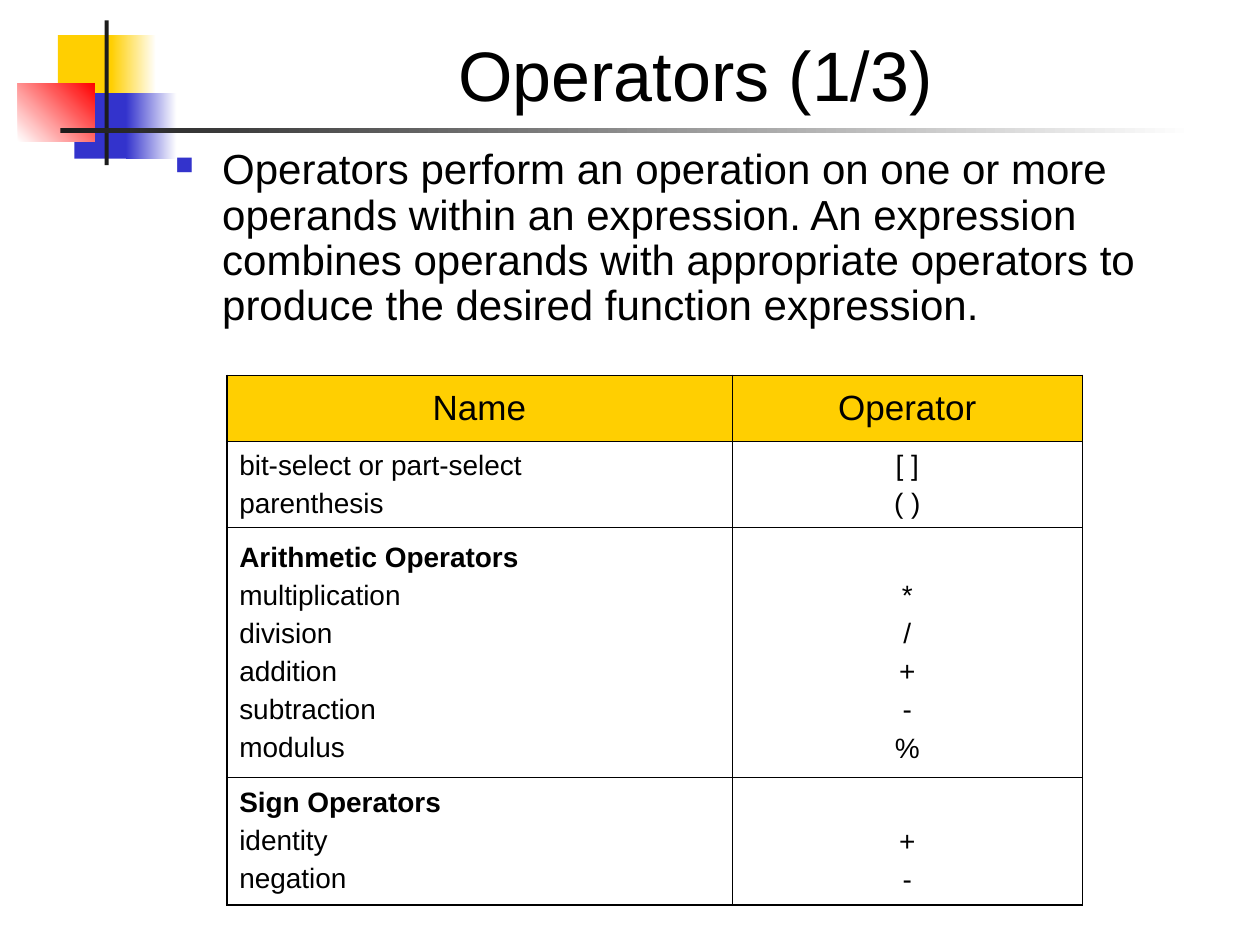
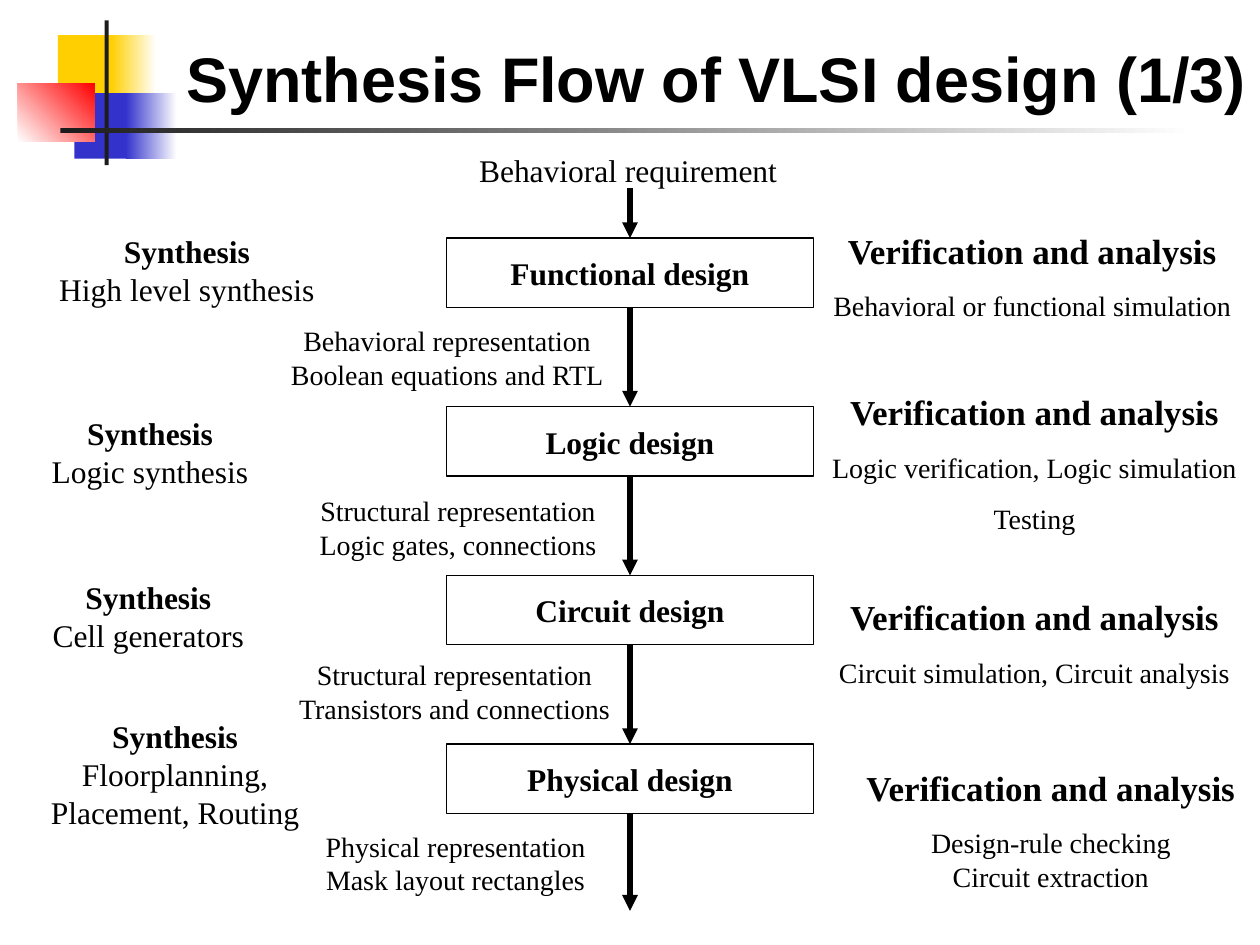
"""Build two slides on operators and the VLSI synthesis flow."""
from lxml.etree import SubElement
from pptx import Presentation
from pptx.dml.color import RGBColor
from pptx.enum.shapes import MSO_CONNECTOR, MSO_SHAPE
from pptx.enum.text import MSO_ANCHOR as ANCHOR, MSO_AUTO_SIZE, PP_ALIGN as ALIGN
from pptx.oxml.ns import qn
from pptx.util import Cm, Pt

BLACK = RGBColor(0x00, 0x00, 0x00)
WHITE = RGBColor(0xFF, 0xFF, 0xFF)
GOLD = RGBColor(0xFF, 0xCF, 0x01)
BLUE = RGBColor(0x33, 0x33, 0xCC)
RED = RGBColor(0xFF, 0x00, 0x00)
INK = RGBColor(0x1C, 0x1C, 0x1C)
SANS, SERIF = "Arial", "Times New Roman"

DECORATION = [
    ((1.17, 0.71, 1.22, 1.32), [GOLD], 0),
    ((2.24, 0.71, 0.91, 1.32), [GOLD, WHITE], 0),
    ((1.5, 1.88, 1.17, 1.32), [BLUE], 0),
    ((2.54, 1.88, 1.02, 1.32), [BLUE, WHITE], 0),
    ((0.36, 1.68, 1.55, 1.17), [WHITE, RED], 45),
    ((2.11, 0.41, 0.08, 2.92), [INK], 0),
    ((1.22, 2.59, 22.86, 0.1), [INK, WHITE], 0),
]

OPERATORS_TITLE = "Operators (1/3)"
OPERATORS_INTRO = (
    "Operators perform an operation on one or more operands within an expression. "
    "An expression combines operands with appropriate operators to produce the "
    "desired function expression."
)
HEADINGS = ("Name", "Operator")
GROUPS = [
    (None, [("bit-select or part-select", "[ ]"), ("parenthesis", "( )")]),
    ("Arithmetic Operators", [("multiplication", "*"), ("division", "/"), ("addition", "+"),
                              ("subtraction", "-"), ("modulus", "%")]),
    ("Sign Operators", [("identity", "+"), ("negation", "-")]),
]
TABLE_AT = (4.57, 7.57)
COLUMNS = (10.19, 7.06)
ROWS = (1.32, 1.75, 5.03, 2.57)
HEADING_LINE = 0.79
OUTER, INNER = 1.08, 0.45

FLOW_TITLE = "Synthesis Flow of VLSI design (1/3)"
FLOW_START = "Behavioral requirement"
STAGES = [
    {"name": "Functional design",
     "note": ["Behavioral representation", "Boolean equations and RTL"],
     "note_at": (5.51, 6.4, 7.01, 1.63),
     "synthesis": ["High level synthesis"], "synthesis_at": (0.48, 4.55, 6.58, 1.78),
     "checks": [("Behavioral or functional simulation", 10)],
     "checks_at": (16.48, 4.5, 8.66, 2.13)},
    {"name": "Logic design",
     "note": ["Structural representation", "Logic gates, connections"],
     "note_at": (5.87, 9.83, 6.73, 1.63),
     "synthesis": ["Logic synthesis"], "synthesis_at": (0.23, 8.23, 5.59, 1.78),
     "checks": [("Logic verification, Logic simulation", 10), ("Testing", 10)],
     "checks_at": (16.31, 7.75, 9.09, 3.18)},
    {"name": "Circuit design",
     "note": ["Structural representation", "Transistors and connections"],
     "note_at": (5.23, 13.13, 7.87, 1.63),
     "synthesis": ["Cell generators"], "synthesis_at": (0.69, 11.53, 4.6, 1.78),
     "checks": [("Circuit simulation, Circuit analysis", 10)],
     "checks_at": (16.31, 11.89, 9.09, 2.13)},
    {"name": "Physical design",
     "note": ["Physical representation", "Mask layout rectangles"],
     "note_at": (5.36, 16.59, 7.65, 1.63),
     "synthesis": ["Floorplanning,", "Placement, Routing"],
     "synthesis_at": (0.66, 14.33, 5.74, 2.54),
     "checks": [("Design-rule checking", 10), ("Circuit extraction", 0)],
     "checks_at": (16.97, 15.32, 8.43, 2.82)},
]
STAGE_LEFT, STAGE_TOP, STAGE_PITCH = 9, 4.8, 3.4
STAGE_W, STAGE_H = 7.4, 1.4
FLOW_X, FLOW_TOP, FLOW_END = 12.7, 3.78, 18.36


def cm(values):
    """Turn plain numbers into centimetre lengths."""
    return [Cm(v) for v in values]


def write(tf, lines, font=SERIF, size=18, bold=False, align=ALIGN.CENTER,
          anchor=ANCHOR.TOP, gap=0):
    """Write lines, each a string or a (string, overrides) pair, into a text frame."""
    tf.word_wrap = True
    tf.vertical_anchor = anchor
    for i, line in enumerate(lines):
        text, own = (line, {}) if isinstance(line, str) else line
        p = tf.paragraphs[0] if i == 0 else tf.add_paragraph()
        p.alignment = align
        p.space_before = Pt(own.get("gap", gap) if i else 0)
        r = p.add_run()
        r.text = text
        r.font.name = font
        r.font.size = Pt(own.get("size", size))
        r.font.bold = own.get("bold", bold)
        r.font.color.rgb = BLACK


def add_text(s, box, lines, **fmt):
    """Add a text box and return it."""
    sp = s.shapes.add_textbox(*cm(box))
    write(sp.text_frame, lines, **fmt)
    return sp


def add_rect(s, box, colors, angle=0, line=None):
    """Add a rectangle with a solid or two-colour fill."""
    sp = s.shapes.add_shape(MSO_SHAPE.RECTANGLE, *cm(box))
    sp.shadow.inherit = False
    if len(colors) == 1:
        sp.fill.solid()
        sp.fill.fore_color.rgb = colors[0]
    else:
        sp.fill.gradient()
        sp.fill.gradient_angle = angle
        for stop, color in zip(sp.fill.gradient_stops, colors):
            stop.color.rgb = color
    if line:
        sp.line.color.rgb = BLACK
        sp.line.width = Pt(line)
    else:
        sp.line.fill.background()
    return sp


def decorate(layout, s):
    """Put the corner blocks and rules on the layout, drawing them through a slide."""
    for ph in list(layout.placeholders):
        if ph.placeholder_format.idx >= 10:
            ph.element.getparent().remove(ph.element)
    for box, colors, angle in DECORATION:
        layout.shapes.element.append(add_rect(s, box, colors, angle).element)


def set_title(s, text, box, **fmt):
    """Place and format the title placeholder."""
    title = s.shapes.title
    title.left, title.top, title.width, title.height = cm(box)
    title.text_frame.auto_size = MSO_AUTO_SIZE.NONE
    write(title.text_frame, [text], font=SANS, anchor=ANCHOR.BOTTOM, **fmt)


def add_bullet(p):
    """Give a paragraph the small blue square bullet."""
    pPr = p._p.get_or_add_pPr()
    pPr.set("marL", str(Cm(0.95)))
    pPr.set("indent", str(-Cm(0.95)))
    SubElement(SubElement(pPr, qn("a:buClr")), qn("a:srgbClr"), val=str(BLUE))
    SubElement(pPr, qn("a:buSzPct"), val="60000")
    SubElement(pPr, qn("a:buChar"), char="■")


def set_borders(cell, widths):
    """Draw black cell borders with widths for left, right, top and bottom."""
    tcPr = cell._tc.get_or_add_tcPr()
    for side, width in zip("LRTB", widths):
        ln = SubElement(tcPr, qn(f"a:ln{side}"), w=str(Pt(width)))
        SubElement(SubElement(ln, qn("a:solidFill")), qn("a:srgbClr"), val=str(BLACK))


def add_operator_table(s):
    """Add the table of operator groups."""
    frame = s.shapes.add_table(len(ROWS), len(COLUMNS), *cm(TABLE_AT),
                               Cm(sum(COLUMNS)), Cm(sum(ROWS)))
    table = frame.table
    table.first_row = table.horz_banding = False
    for col, width in zip(table.columns, COLUMNS):
        col.width = Cm(width)
    for row, height in zip(table.rows, ROWS):
        row.height = Cm(height)
    for r in range(len(ROWS)):
        for c in range(len(COLUMNS)):
            cell = table.cell(r, c)
            edges = (c == 0, c == len(COLUMNS) - 1, r == 0, r == len(ROWS) - 1)
            set_borders(cell, [OUTER if edge else INNER for edge in edges])
            if r == 0:
                cell.fill.solid()
                cell.fill.fore_color.rgb = GOLD
                lines, size, align = [HEADINGS[c]], 20, ALIGN.CENTER
            else:
                cell.fill.background()
                heading, entries = GROUPS[r - 1]
                lines, size = [entry[c] for entry in entries], 16
                align = ALIGN.CENTER if c else ALIGN.LEFT
                if heading and c == 0:
                    lines.insert(0, (heading, {"bold": True}))
                elif heading:
                    cell.margin_top = Cm(0.13 + HEADING_LINE)
            write(cell.text_frame, lines, font=SANS, size=size, align=align, gap=4)
            cell.vertical_anchor = ANCHOR.MIDDLE


def add_arrow(s, top, bottom, source=None, target=None):
    """Add a downward arrow, joined to the stages it touches."""
    c = s.shapes.add_connector(MSO_CONNECTOR.STRAIGHT, *cm((FLOW_X, top, FLOW_X, bottom)))
    if source is not None:
        c.begin_connect(source, 2)
    if target is not None:
        c.end_connect(target, 0)
    c.line.color.rgb = BLACK
    c.line.width = Pt(3)
    SubElement(c.line._get_or_add_ln(), qn("a:tailEnd"), type="triangle")
    SubElement(c.element.spPr, qn("a:effectLst"))


def build_operators(s):
    """Fill the operators slide."""
    set_title(s, OPERATORS_TITLE, (3.2, 0.33, 21.64, 2.13), size=40)
    sp = add_text(s, (3.28, 2.87, 21.39, 4.22), [OPERATORS_INTRO],
                  font=SANS, size=24, align=ALIGN.LEFT)
    p = sp.text_frame.paragraphs[0]
    add_bullet(p)
    p.line_spacing = 0.9
    add_operator_table(s)


def build_flow(s):
    """Fill the synthesis flow slide."""
    set_title(s, FLOW_TITLE, (3.5, 0.66, 21.9, 1.78), size=36, bold=True, align=ALIGN.LEFT)
    s.shapes.title.text_frame.word_wrap = False
    add_text(s, (8.18, 2.92, 8.97, 1.02), [FLOW_START])
    for stage in STAGES:
        note = add_rect(s, stage["note_at"], [WHITE])
        write(note.text_frame, stage["note"], size=16)
    boxes = []
    for i, stage in enumerate(STAGES):
        box = add_rect(s, (STAGE_LEFT, STAGE_TOP + i * STAGE_PITCH, STAGE_W, STAGE_H),
                       [WHITE], line=0.75)
        write(box.text_frame, [stage["name"]], bold=True, anchor=ANCHOR.MIDDLE)
        boxes.append(box)
        add_text(s, stage["synthesis_at"],
                 [("Synthesis", {"bold": True})] + stage["synthesis"])
        checks = [(text, {"gap": gap}) for text, gap in stage["checks"]]
        heading = ("Verification and analysis", {"size": 20, "bold": True})
        add_text(s, stage["checks_at"], [heading] + checks, size=16)
    for source, target in zip([None] + boxes, boxes + [None]):
        add_arrow(s, FLOW_TOP, FLOW_END, source, target)


def main():
    """Build and save the presentation."""
    prs = Presentation()
    prs.slide_width, prs.slide_height = Cm(25.4), Cm(19.05)
    layout = prs.slide_layouts[5]
    operators, flow = [prs.slides.add_slide(layout) for _ in range(2)]
    decorate(layout, operators)
    build_operators(operators)
    build_flow(flow)
    prs.save("out.pptx")


if __name__ == "__main__":
    main()
